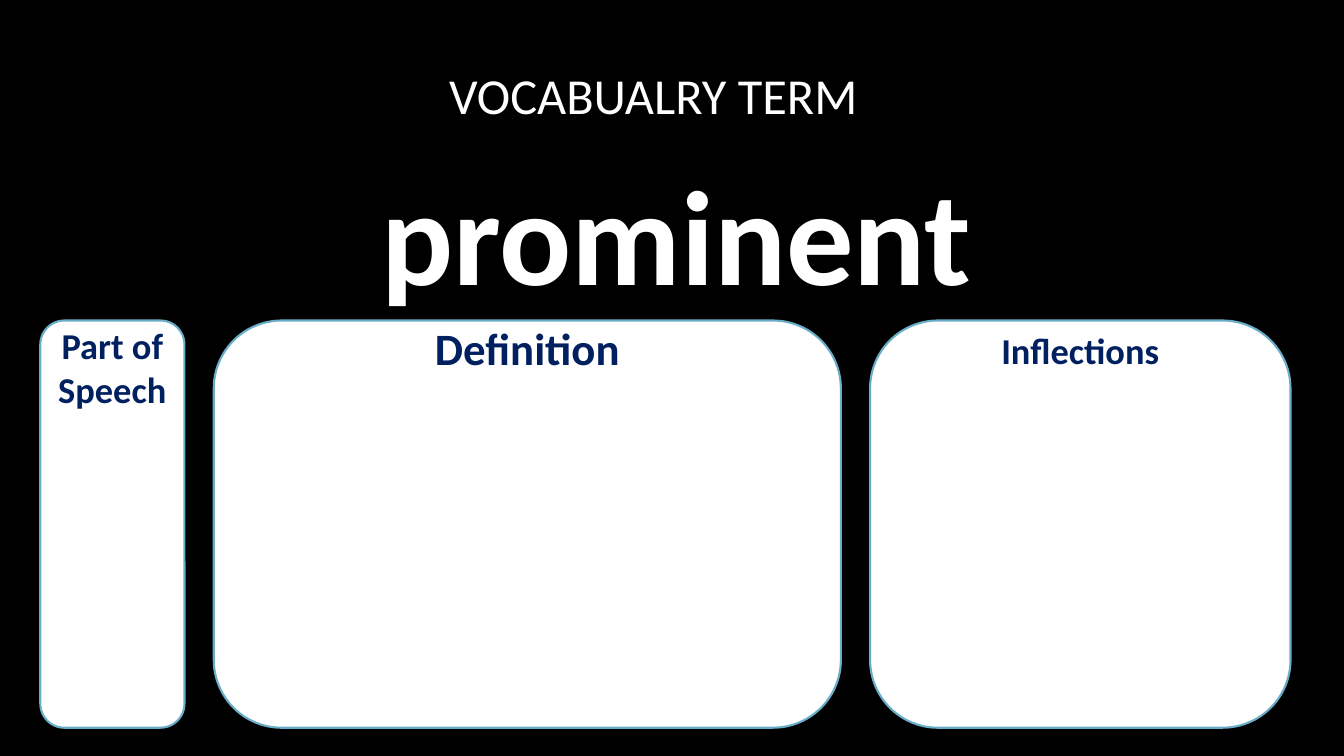
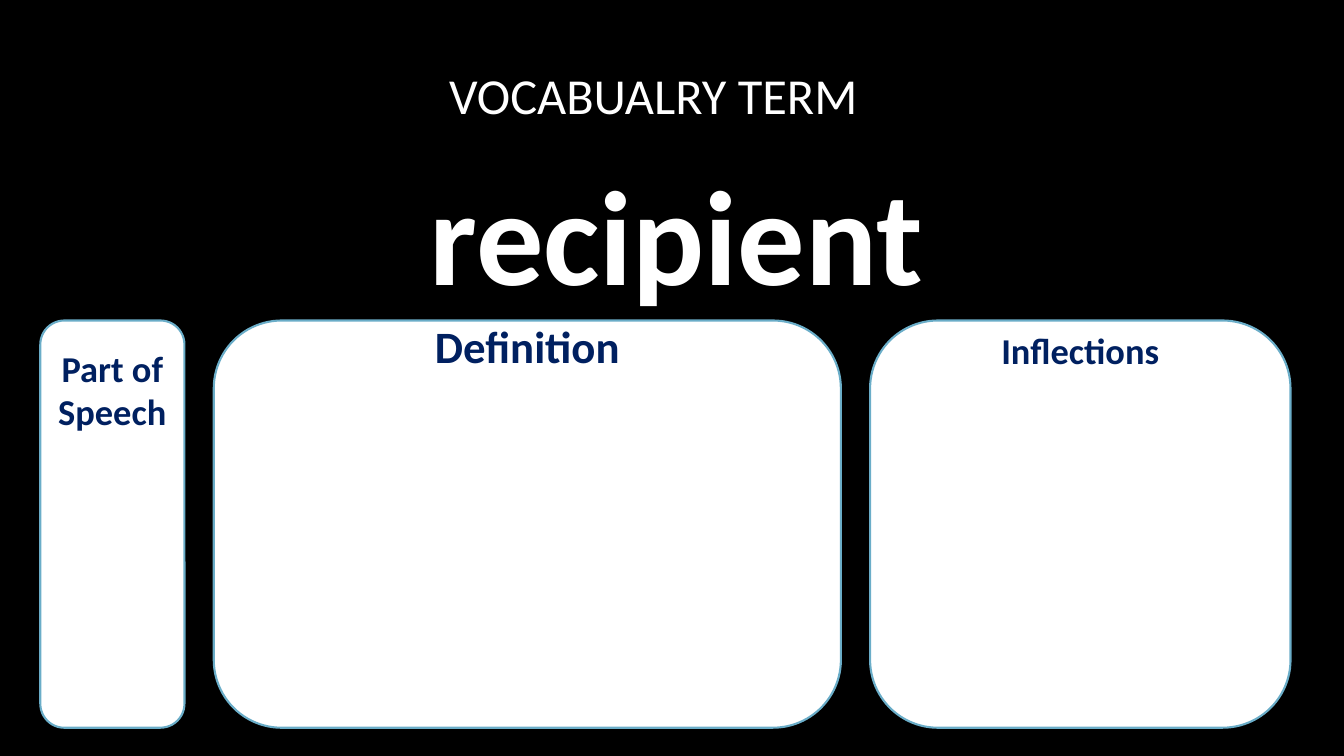
from dataclasses import dataclass

from pptx import Presentation, util as u
from pptx.dml.color import RGBColor
from pptx.enum import shapes, text

# Each term with the drop of its card labels below the card top, in inches
TERMS = [
    ("prominent", (0.03, 0, 0.08)),
    ("recipient", (0.25, -0.02, 0.08)),
]
HEADING = "VOCABUALRY TERM"
# Label, card width, type size
CARDS = [("Part of Speech", 1.43, 26), ("Definition", 6.22, 32), ("Inflections", 4.17, 26)]

HEADING_AREA = (1.17, 0.46, 10.62, 0.96)
TERM_AREA = (1.17, 1.42, 11.08, 1.76)
CARD_LEFT, CARD_TOP, CARD_HEIGHT, CARD_GAP = 0.4, 3.18, 4.04, 0.29


@dataclass(frozen=True)
class Theme:
    font: str = "Calibri"
    background: str = "000000"
    light: str = "FFFFFF"
    label: str = "002060"
    edge: str = "6AADC8"
    edge_width: float = 1.5
    heading_size: int = 36
    term_size: int = 96


THEME = Theme()


def rgb(value):
    return RGBColor.from_string(value)


def add_text(page, area, words, size, color, bold=True, anchor=text.MSO_ANCHOR.MIDDLE):
    box = page.shapes.add_textbox(*map(u.Inches, area))
    frame = box.text_frame
    frame.word_wrap = True
    frame.vertical_anchor = anchor
    frame.margin_top = frame.margin_bottom = 0
    frame.text = words
    para = frame.paragraphs[0]
    para.alignment = text.PP_ALIGN.CENTER
    font = para.runs[0].font
    font.name, font.size, font.bold = THEME.font, u.Pt(size), bold
    font.color.rgb = rgb(color)


def add_card(page, area):
    card = page.shapes.add_shape(
        shapes.MSO_SHAPE.ROUNDED_RECTANGLE, *map(u.Inches, area))
    card.shadow.inherit = False
    card.fill.solid()
    card.fill.fore_color.rgb = rgb(THEME.light)
    card.line.color.rgb = rgb(THEME.edge)
    card.line.width = u.Pt(THEME.edge_width)


def add_term_page(deck, term, drops):
    page = deck.slides.add_slide(deck.slide_layouts[6])
    page.background.fill.solid()
    page.background.fill.fore_color.rgb = rgb(THEME.background)
    add_text(page, HEADING_AREA, HEADING, THEME.heading_size, THEME.light, bold=False)
    add_text(page, TERM_AREA, term, THEME.term_size, THEME.light)
    left = CARD_LEFT
    for (label, width, size), drop in zip(CARDS, drops):
        add_card(page, (left, CARD_TOP, width, CARD_HEIGHT))
        add_text(page, (left, CARD_TOP + drop, width, 1), label, size,
                 THEME.label, anchor=text.MSO_ANCHOR.TOP)
        left += width + CARD_GAP


def main():
    deck = Presentation()
    deck.slide_width, deck.slide_height = u.Inches(13.33), u.Inches(7.5)
    for term, drops in TERMS:
        add_term_page(deck, term, drops)
    deck.save("out.pptx")


if __name__ == "__main__":
    main()
